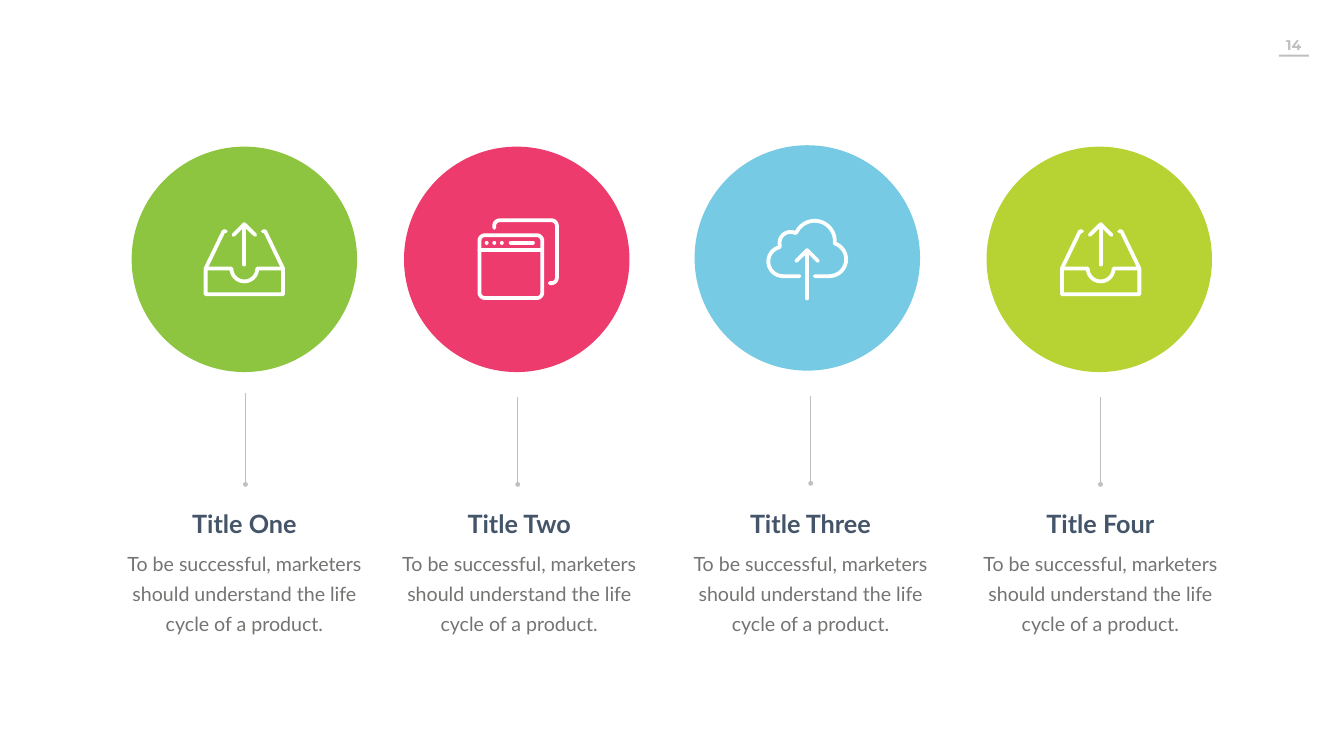
from collections import namedtuple
from dataclasses import dataclass
from math import cos, radians, sin

from lxml.etree import SubElement
from pptx import Presentation
from pptx.dml.color import RGBColor as RGB
from pptx.enum.shapes import MSO_CONNECTOR as LINK, MSO_SHAPE as SHAPE
from pptx.enum.text import PP_ALIGN as ALIGN
from pptx.oxml.ns import qn
from pptx.util import Pt


@dataclass(frozen=True)
class Theme:
    green: str = "8DC540"
    pink: str = "EE3B6D"
    blue: str = "76CAE3"
    lime: str = "B7D333"
    white: str = "FFFFFF"
    grey: str = "BFBFBF"
    heading: str = "445469"
    body: str = "737572"
    heading_size: int = 36
    body_size: int = 28
    number_size: int = 20
    text_font: str = "Lato"
    number_font: str = "Montserrat"
    thin: float = 2.25
    icon_stroke: float = 5.4


def arc(x, y, radius, start, end, steps=16):
    """Points on an arc; angles in degrees, clockwise from the right."""
    angles = [radians(start + (end - start) * i / steps) for i in range(steps + 1)]
    return [(x + radius * cos(a), y + radius * sin(a)) for a in angles]


def apply(target, values):
    for name, value in values.items():
        setattr(target, name, value)


# Icon strokes, in points from the icon's top left corner
def arrow(x, tip, end):
    return [[(x, tip), (x, end)],
            [(x - 15.7, tip + 15.5), (x, tip), (x + 15.7, tip + 15.5)]]


def tray_icon():
    middle, left, right, rim, base = 58, 2.7, 113.3, 66, 103
    box = [(left, rim), *arc(middle, rim, 18.5, 180, 0), (right, rim),
           (right, base), (left, base), (left, rim)]
    sides = [[(middle + s * 55.3, rim), (middle + s * 29.7, 13),
              (middle + s * 26.5, 13)] for s in (-1, 1)]
    return [box, *sides, *arrow(middle, 2.9, 60.5)]


def window_icon():
    left, top, right, bottom, bar, r = 2.7, 24, 92.5, 113.8, 45, 8
    front = [*arc(left + r, top + r, r, 180, 270), *arc(right - r, top + r, r, 270, 360),
             *arc(right - r, bottom - r, r, 0, 90), *arc(left + r, bottom - r, r, 90, 180),
             (left, top + r)]
    back = [(23.8, 13.7), *arc(31.8, 10.7, r, 180, 270),
            *arc(105.4, 10.7, r, 270, 360), *arc(105.4, 84.5, r, 0, 90), (103, 92.5)]
    dots = [[(x, 34.6), (x + 0.2, 34.6)] for x in (13, 23.8, 34.6)]
    address = [(47.3, 34.6), (79.2, 34.6)]
    return [front, back, *dots, address, [(left, bar), (right, bar)]]


def cloud_icon():
    outline = [(47.5, 82), *arc(23.8, 61, 21, 90, 257), *arc(34.6, 34.6, 15.8, 165, 298),
               *arc(69, 31.7, 28.8, 207, 367), *arc(90, 58, 24, -70, 90), (69, 82)]
    return [outline, *arrow(58.3, 45, 113.8)]


class Slide:
    def __init__(self, deck, theme):
        self.theme = theme
        self.shapes = deck.slides.add_slide(deck.slide_layouts[6]).shapes

    def block(self, kind, color, left, top, width, height):
        shape = self.shapes.add_shape(kind, Pt(left), Pt(top), Pt(width), Pt(height))
        shape.shadow.inherit = False
        shape.fill.solid()
        shape.fill.fore_color.rgb = RGB.from_string(color)
        shape.line.fill.background()

    def stroke(self, shape, color, width):
        shape.line.color.rgb = RGB.from_string(color)
        shape.line.width = Pt(width)
        return shape.element.spPr.find(qn("a:ln"))

    def icon(self, strokes, left, top):
        placed = [[(Pt(left + x), Pt(top + y)) for x, y in points] for points in strokes]
        pen = self.shapes.build_freeform(*placed[0][0])
        for points in placed:
            pen.move_to(*points[0])
            pen.add_line_segments(points[1:], close=False)
        drawing = pen.convert_to_shape()
        drawing.shadow.inherit = False
        drawing.fill.background()
        outline = self.stroke(drawing, self.theme.white, self.theme.icon_stroke)
        outline.set("cap", "rnd")
        SubElement(outline, qn("a:round"))

    def stem(self, x, top, bottom):
        line = self.shapes.add_connector(LINK.STRAIGHT, Pt(x), Pt(top), Pt(x), Pt(bottom))
        outline = self.stroke(line, self.theme.grey, self.theme.thin)
        SubElement(outline, qn("a:tailEnd"), type="oval")
        SubElement(line.element.spPr, qn("a:effectLst"))

    def text(self, words, left, top, width, height, font, size, color,
             bold=False, spacing=None):
        box = self.shapes.add_textbox(Pt(left), Pt(top), Pt(width), Pt(height))
        box.text_frame.word_wrap = True
        paragraph = box.text_frame.paragraphs[0]
        paragraph.text = words
        apply(paragraph, {"alignment": ALIGN.CENTER, "line_spacing": spacing})
        apply(paragraph.font, {"name": font, "size": Pt(size), "bold": bold})
        paragraph.font.color.rgb = RGB.from_string(color)
        return box


Column = namedtuple("Column", "title color circle icon icon_at stem text_left")
THEME = Theme()
COPY = "To be successful, marketers should understand the life cycle of a product."
COLUMNS = [
    Column("Title One", THEME.green, (188, 209.5), tray_icon, (291, 317.5),
           (350.6, 562, 692), 173.5),
    Column("Title Two", THEME.pink, (577, 209.5), window_icon, (682, 312),
           (739.4, 567, 692), 566),
    Column("Title Three", THEME.blue, (992, 207.5), cloud_icon, (1094.5, 312.5),
           (1157.8, 566, 690.5), 982),
    Column("Title Four", THEME.lime, (1409, 209.5), tray_icon, (1514, 317.5),
           (1571.8, 567, 692), 1396),
]
CIRCLE, TEXT_WIDTH = 322, 351


def main():
    deck = Presentation()
    deck.slide_width, deck.slide_height = Pt(1919.5), Pt(1080)
    slide = Slide(deck, THEME)

    # Page number with its underline
    number = slide.text("14", 1774, 44.5, 147.5, 39, THEME.number_font,
                        THEME.number_size, THEME.grey, bold=True)
    apply(number.text_frame, {"margin_top": Pt(7.2), "margin_bottom": Pt(7.2)})
    slide.block(SHAPE.RECTANGLE, THEME.grey, 1826.5, 78, 43, 3)

    # One column per topic: circle, icon, stem, heading and copy
    for column in COLUMNS:
        slide.stem(*column.stem)
        slide.block(SHAPE.OVAL, column.color, *column.circle, CIRCLE, CIRCLE)
        slide.icon(column.icon(), *column.icon_at)
        slide.text(column.title, column.text_left, 723, TEXT_WIDTH, 50.5,
                   THEME.text_font, THEME.heading_size, THEME.heading, bold=True)
        slide.text(COPY, column.text_left, 775.5, TEXT_WIDTH, 136,
                   THEME.text_font, THEME.body_size, THEME.body, spacing=Pt(43))

    deck.save("out.pptx")


if __name__ == "__main__":
    main()
